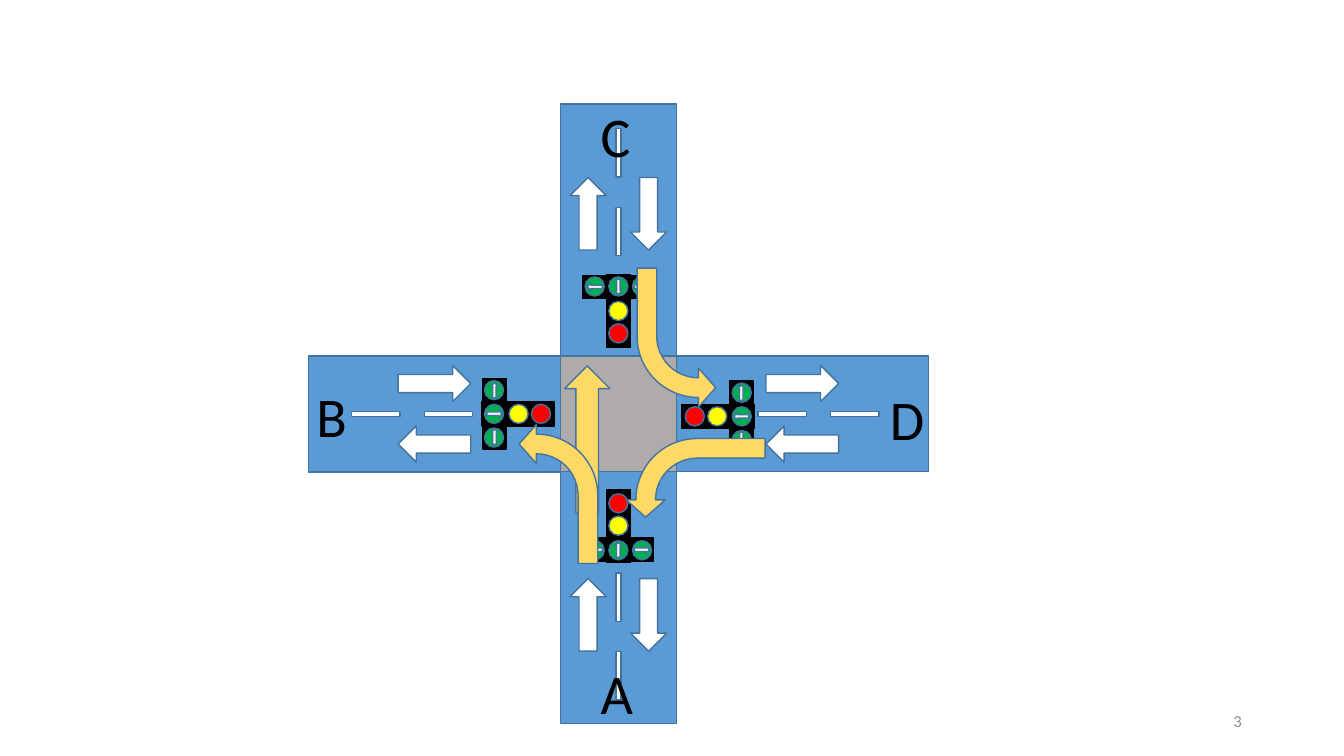
"""Build a slide of a four-way road junction with signals and turning paths."""
from collections import namedtuple
from math import cos, radians, sin

from pptx import Presentation
from pptx.dml.color import RGBColor
from pptx.enum.shapes import MSO_SHAPE
from pptx.enum.text import MSO_ANCHOR, MSO_AUTO_SIZE, PP_ALIGN
from pptx.oxml.ns import qn
from pptx.util import Pt

RECTANGLE = MSO_SHAPE.RECTANGLE
OVAL = MSO_SHAPE.OVAL
ARROW = MSO_SHAPE.RIGHT_ARROW
DOWN_ARROW = MSO_SHAPE.DOWN_ARROW
BENT_ARROW = MSO_SHAPE.BENT_ARROW
LEFT, RIGHT = PP_ALIGN.LEFT, PP_ALIGN.RIGHT
TOP, MIDDLE = MSO_ANCHOR.TOP, MSO_ANCHOR.MIDDLE
GROW, FIXED = MSO_AUTO_SIZE.SHAPE_TO_FIT_TEXT, MSO_AUTO_SIZE.NONE

OUTLINE, ROAD, WHITE, BLACK = "43739E", "5B9BD5", "FFFFFF", "000000"
CROSSING, PATH, SIGN = "AFABAB", "FFD966", "F2F2F2"
GREEN, YELLOW, RED = "00B050", "FFFF00", "FF0000"

CENTRE = (441.7, 295.6)
ROAD_LENGTH, ROAD_WIDTH = 180, 82.8
LANE_OFFSET = 21.6
LAMP_STEP = 16.92

Arm = namedtuple("Arm", "label angle dashes lane signal signal_shift label_centre")
ARMS = [
    Arm("A", 90, (187.2, 131), 143.6, 80.2, 0, (438.8, 494.3)),
    Arm("C", 270, (186.5, 130.3), 142.9, 73.8, 0, (438.8, 96.8)),
    Arm("D", 0, (117, 168.8), 131.4, 70.9, 1.8, (645.5, 299.2)),
    Arm("B", 180, (173.2, 121.3), 131.4, 71.6, 0, (235.8, 297)),
]
TURNS = [((398.9, 352.8), 0), ((496.8, 341.3), 270), ((483.1, 241.2), 180)]


def colour(value):
    """Return the colour for a hex string."""
    return RGBColor.from_string(value)


def turned(origin, x, y, angle):
    """Return the point at offset x, y from origin, turned clockwise by angle."""
    turn = radians(angle)
    return (origin[0] + x * cos(turn) - y * sin(turn),
            origin[1] + x * sin(turn) + y * cos(turn))


def add_part(shapes, kind, centre, width, height, fill, angle=0, line=OUTLINE):
    """Add a filled shape around a centre point."""
    part = shapes.add_shape(kind, Pt(centre[0] - width / 2), Pt(centre[1] - height / 2),
                            Pt(width), Pt(height))
    part.rotation = angle % 360
    part.shadow.inherit = False
    part.fill.solid()
    part.fill.fore_color.rgb = colour(fill)
    part.line.color.rgb = colour(line)
    part.line.width = Pt(1)
    return part


def add_text(page, text, centre, width, height, *, size, ink=BLACK,
             align=LEFT, anchor=TOP, fit=GROW):
    """Add a one-line text box around a centre point."""
    box = page.shapes.add_textbox(Pt(centre[0] - width / 2), Pt(centre[1] - height / 2),
                                  Pt(width), Pt(height))
    frame = box.text_frame
    frame.word_wrap = True
    frame.auto_size = fit
    frame.vertical_anchor = anchor
    para = frame.paragraphs[0]
    para.alignment = align
    span = para.add_run()
    span.text = text
    span.font.name = "Calibri"
    span.font.size = Pt(size)
    span.font.color.rgb = colour(ink)


def add_road(shapes, arm):
    """Add one arm of the junction with its dashes and lane arrows."""
    middle = (ROAD_LENGTH + ROAD_WIDTH) / 2
    add_part(shapes, RECTANGLE, turned(CENTRE, middle, 0, arm.angle),
             ROAD_LENGTH, ROAD_WIDTH, ROAD, arm.angle)
    for distance in arm.dashes:
        add_part(shapes, RECTANGLE, turned(CENTRE, distance, 0, arm.angle),
                 34.56, 3.6, WHITE, arm.angle)
    for shift, heading in ((-LANE_OFFSET, 0), (LANE_OFFSET, 180)):
        add_part(shapes, ARROW, turned(CENTRE, arm.lane, shift, arm.angle),
                 51.84, 25.92, WHITE, arm.angle + heading)


def add_signal(shapes, arm):
    """Add the T-shaped signal of one arm."""
    origin = turned(CENTRE, arm.signal, arm.signal_shift, arm.angle)
    angle = arm.angle - 90
    add_part(shapes, RECTANGLE, origin, 17.28, 51.84, BLACK, angle, BLACK)
    for x in (-LAMP_STEP, LAMP_STEP):
        add_part(shapes, RECTANGLE, turned(origin, x, LAMP_STEP, angle),
                 16.56, 16.56, BLACK, angle, BLACK)
    lamps = [(x, LAMP_STEP + 0.3, GREEN) for x in (LAMP_STEP, -LAMP_STEP, 0)]
    lamps += [(0, -0.3, YELLOW), (0, -16.3, RED)]
    for x, y, fill in lamps:
        add_part(shapes, OVAL, turned(origin, x, y, angle), 13.68, 13.68, fill, angle)
    for x, heading in ((LAMP_STEP, 0), (-LAMP_STEP, 180), (0, 270)):
        add_part(shapes, ARROW, turned(origin, x, LAMP_STEP, angle),
                 10.8, 5.04, SIGN, angle + heading)


def add_turn(shapes, centre, angle):
    """Add a mirrored bent arrow for a left turn."""
    turn = add_part(shapes, BENT_ARROW, centre, 56.16, 99.36, PATH, angle)
    for index, value in enumerate((0.25, 0.25, 0.22, 0.78)):
        turn.adjustments[index] = value
    turn.element.spPr.find(qn("a:xfrm")).set("flipH", "1")


def main():
    """Build and save the deck."""
    deck = Presentation()
    deck.slide_width, deck.slide_height = Pt(960), Pt(540)
    page = deck.slides.add_slide(deck.slide_layouts[6])

    junction = page.shapes.add_group_shape().shapes
    add_part(junction, RECTANGLE, CENTRE, ROAD_WIDTH, ROAD_WIDTH, CROSSING)
    for arm in ARMS:
        add_road(junction, arm)
    for arm in ARMS:
        add_signal(junction, arm)
    for arm in ARMS:
        add_text(page, arm.label, arm.label_centre, 33.84, 55.44, size=40)

    paths = page.shapes.add_group_shape().shapes
    add_part(paths, DOWN_ARROW, (419.4, 313.9), 32.4, 105.1, PATH, 180)
    for centre, angle in TURNS:
        add_turn(paths, centre, angle)

    add_text(page, "3", (786.2, 514.8), 216, 28.8, size=12, ink="8C8C8C",
             align=RIGHT, anchor=MIDDLE, fit=FIXED)
    deck.save("out.pptx")


if __name__ == "__main__":
    main()
